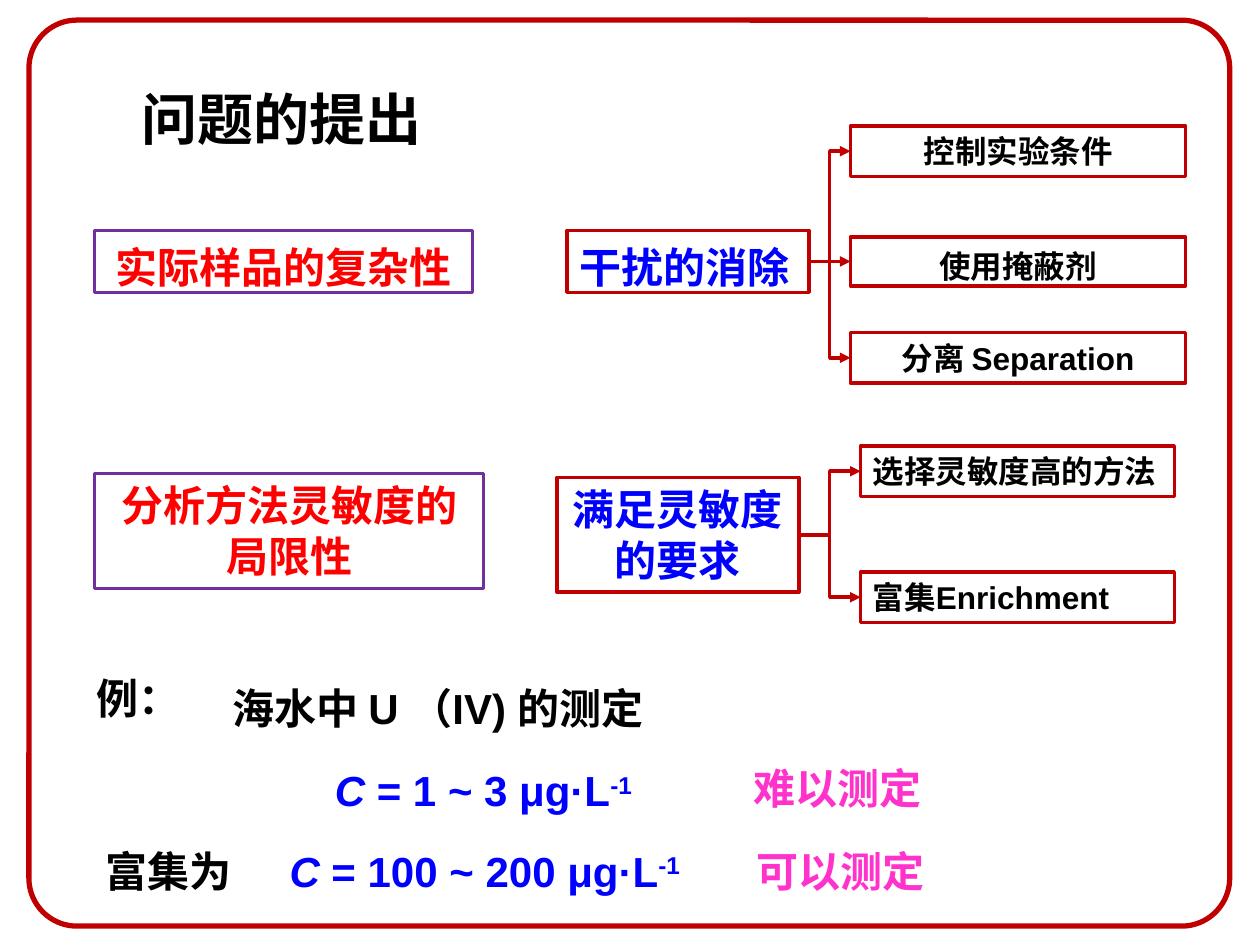
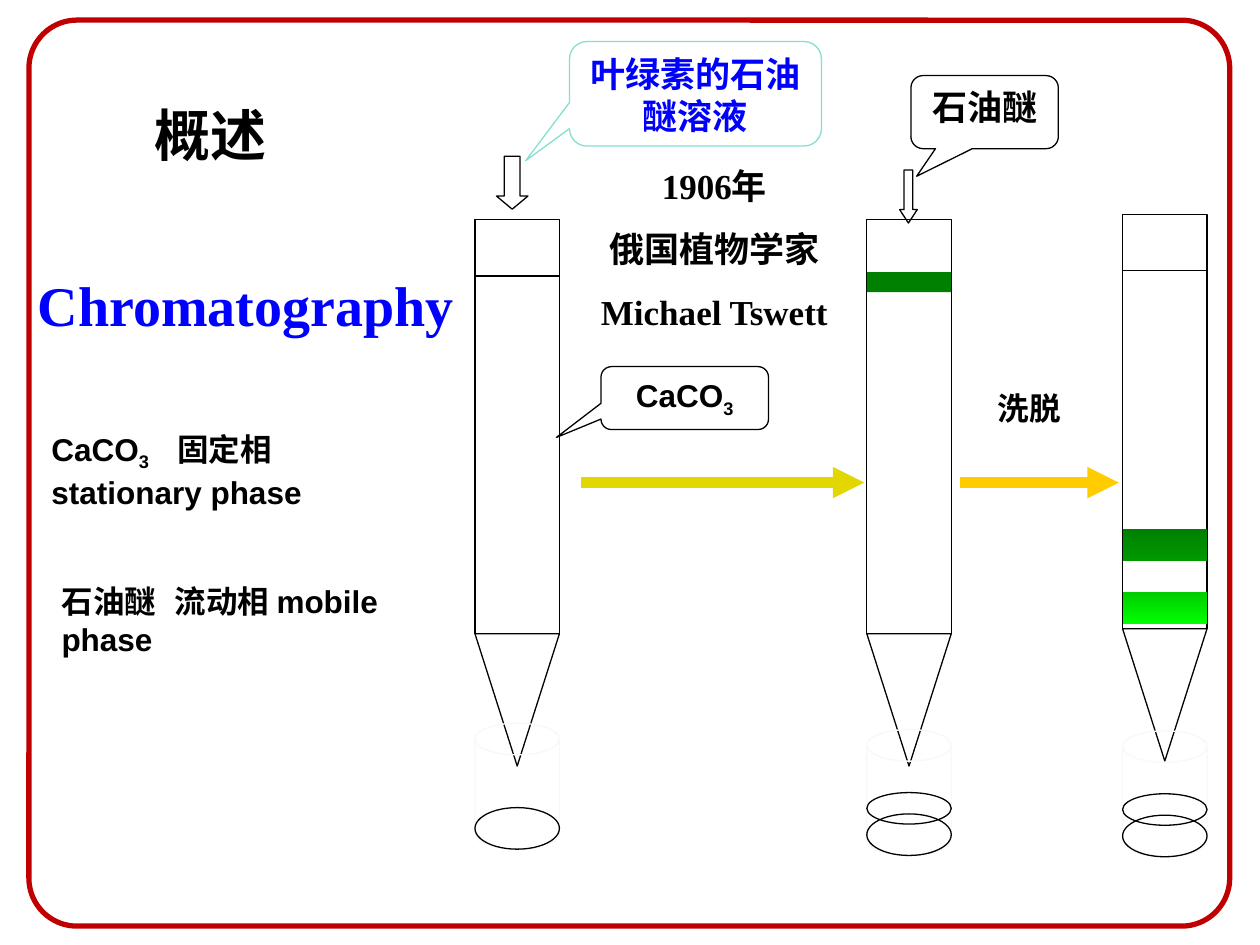
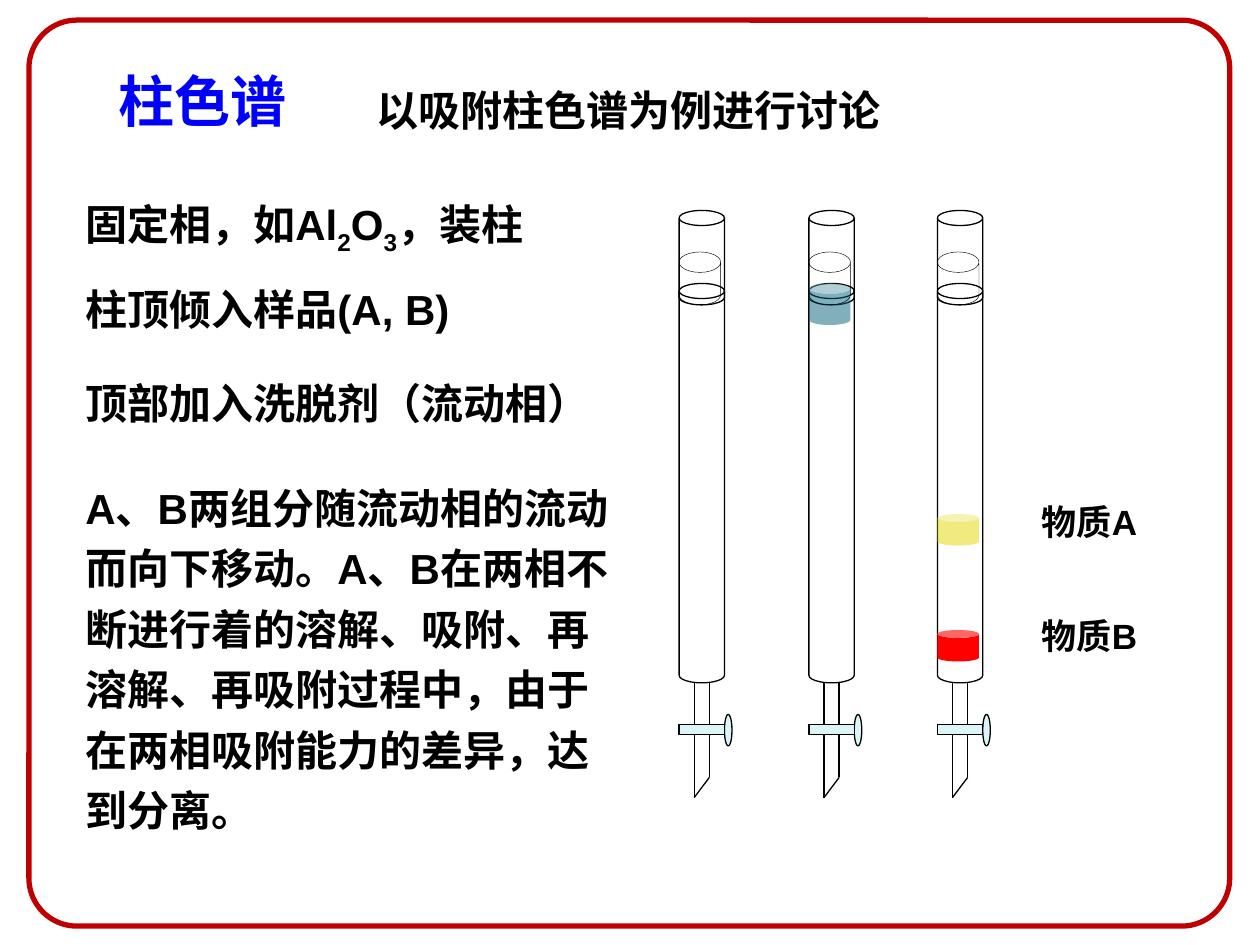
from dataclasses import dataclass

from lxml.etree import SubElement
from pptx import Presentation
from pptx.dml.color import RGBColor as RGB
from pptx.enum.shapes import MSO_CONNECTOR as LINK, MSO_SHAPE as SHAPE
from pptx.enum.text import MSO_ANCHOR as ANCHOR, PP_ALIGN as ALIGN
from pptx.oxml.ns import qn
from pptx.util import Inches, Pt


@dataclass(frozen=True)
class Theme:
    black: str = "000000"
    white: str = "FFFFFF"
    frame: str = "C00000"
    cause: str = "7030A0"
    red: str = "FF0000"
    blue: str = "0000FF"
    pink: str = "FF33CC"
    mint: str = "85DFD0"
    glass: str = "F8F8F8"
    valve: str = "DBF5F9"
    sample: str = "04617B"
    yellow: str = "E2D700"
    amber: str = "FFCC00"
    green: str = "008000"
    dark_band: tuple = ("008000", "009900")
    light_band: tuple = ("00CC00", "00FF00")
    sans: str = "Arial"
    serif: str = "Times New Roman"
    cjk: str = "Noto Sans CJK SC"
    heading: str = "Roboto"
    title: int = 32
    body: int = 24
    label: int = 20
    small: int = 18


T = Theme()
SUB = {"baseline": -25000}
SUPER = {"baseline": 30000}


def draw(slide, kind, place, line=None, width=0.75, fill=None, alpha=None, adj=(), arrow=False):
    shapes = slide.shapes
    if kind == "text":
        return shapes.add_textbox(*map(Inches, place))
    if kind == "outline":
        points = [(Inches(x), Inches(y)) for x, y in place]
        builder = shapes.build_freeform(*points[0])
        builder.add_line_segments(points[1:], close=fill is not None)
        item = builder.convert_to_shape()
    elif isinstance(kind, LINK):
        item = shapes.add_connector(kind, *map(Inches, place))
    else:
        item = shapes.add_shape(kind, *map(Inches, place))
        for index, value in enumerate(adj):
            item.adjustments[index] = value

    if line:
        item.line.color.rgb = RGB.from_string(line)
        item.line.width = Pt(width)
    else:
        item.line.fill.background()
    if isinstance(kind, LINK):
        if arrow:
            SubElement(item.line._get_or_add_ln(), qn("a:tailEnd"), type="triangle")
        SubElement(item._element.spPr, qn("a:effectLst"))
        return item

    item.shadow.inherit = False
    if fill is None:
        item.fill.background()
    elif isinstance(fill, tuple):
        item.fill.gradient()
        item.fill.gradient_angle = 270
        for stop, color in zip(item.fill.gradient_stops, fill):
            stop.color.rgb = RGB.from_string(color)
    else:
        item.fill.solid()
        item.fill.fore_color.rgb = RGB.from_string(fill)
        if alpha:
            color = item._element.spPr.find(qn("a:solidFill"))[0]
            SubElement(color, qn("a:alpha"), val=str(alpha * 1000))
    return item


def write(item, *paragraphs, size=T.body, color=T.black, font=T.sans,
          align=ALIGN.LEFT, spacing=None, tab=None, anchor=ANCHOR.TOP):
    frame = item.text_frame
    frame.word_wrap = True
    frame.vertical_anchor = anchor
    for index, runs in enumerate(paragraphs):
        paragraph = frame.add_paragraph() if index else frame.paragraphs[0]
        paragraph.alignment = align
        properties = paragraph._p.get_or_add_pPr()
        properties.set("hangingPunct", "0")
        if spacing:
            paragraph.line_spacing = spacing
        if tab:
            stops = SubElement(properties, qn("a:tabLst"))
            SubElement(stops, qn("a:tab"), pos=str(Inches(tab)), algn="l")
        paragraph.font.size = Pt(size)
        paragraph.font.bold = True
        paragraph.font.name = font
        paragraph.font.color.rgb = RGB.from_string(color)
        for text, look in [(runs, {})] if isinstance(runs, str) else runs:
            run = paragraph.add_run()
            run.text = text
            if "font" in look:
                run.font.name = look["font"]
            if "italic" in look:
                run.font.italic = True
            if "baseline" in look:
                run._r.get_or_add_rPr().set("baseline", str(look["baseline"]))


prs = Presentation()
prs.slide_width, prs.slide_height = Inches(10), Inches(7.5)
problem, overview, column_method = [prs.slides.add_slide(prs.slide_layouts[6]) for _ in range(3)]
for slide in (problem, overview, column_method):
    draw(slide, SHAPE.ROUNDED_RECTANGLE, (0.23, 0.16, 9.53, 7.19), T.frame, 3, adj=[0.053])

for slide, place, text, color, font, align, anchor in [
    (problem, (0.82, 0.62, 2.83, 0.64), "问题的提出", T.black, T.sans, ALIGN.CENTER, ANCHOR.TOP),
    (overview, (1.01, 0.75, 1.33, 0.63), "概述", T.black, T.cjk, ALIGN.CENTER, ANCHOR.TOP),
    (column_method, (0.94, 0.47, 1.88, 0.59), "柱色谱", T.blue, T.heading, ALIGN.LEFT, ANCHOR.BOTTOM),
]:
    title = draw(slide, SHAPE.RECTANGLE, place, fill=T.white)
    write(title, text, size=T.title, color=color, font=font, align=align, anchor=anchor)
title.text_frame.margin_left = title.text_frame.margin_right = title.text_frame.margin_bottom = 0

for place, text, spacing in [
    ((0.75, 1.83, 3, 0.49), "实际样品的复杂性", 1.1),
    ((0.75, 3.76, 3.09, 0.91), "分析方法灵敏度的局限性", None),
]:
    cause = draw(problem, SHAPE.RECTANGLE, place, T.cause, 1.75)
    write(cause, text, color=T.red, align=ALIGN.CENTER, spacing=spacing)

for place, text, align, spacing, remedies, remedy_align in [
    ((4.5, 1.83, 1.92, 0.49), "干扰的消除", ALIGN.LEFT, 1.1, [
        ((6.75, 1, 2.66, 0.4), "控制实验条件", None),
        ((6.75, 1.88, 2.66, 0.39), "使用掩蔽剂", 1.1),
        ((6.75, 2.64, 2.66, 0.4), "分离 Separation", None),
    ], ALIGN.CENTER),
    ((4.42, 3.79, 1.92, 0.91), "满足灵敏度的要求", ALIGN.CENTER, None, [
        ((6.83, 3.54, 2.49, 0.4), "选择灵敏度高的方法", None),
        ((6.83, 4.54, 2.49, 0.4), "富集Enrichment", None),
    ], ALIGN.LEFT),
]:
    goal = draw(problem, SHAPE.RECTANGLE, place, T.frame, 2)
    write(goal, text, color=T.blue, align=align, spacing=spacing)
    goal_right, goal_middle = place[0] + place[2], place[1] + place[3] / 2
    for (left, top, width, height), remedy_text, remedy_spacing in remedies:
        remedy = draw(problem, SHAPE.RECTANGLE, (left, top, width, height), T.frame, 2)
        write(remedy, remedy_text, size=T.small, align=remedy_align, spacing=remedy_spacing)
        middle = top + height / 2
        link = LINK.STRAIGHT if abs(middle - goal_middle) < 0.01 else LINK.ELBOW
        branch = draw(problem, link, (goal_right, goal_middle, left, middle), T.frame, 2, arrow=True)
        branch.begin_connect(goal, 3)
        branch.end_connect(remedy, 1)

for place, runs, color in [
    ((0.67, 5.29, 0.92, 0.5), "例：", T.black),
    ((1.75, 5.37, 4.58, 0.5), "海水中 U （IV) 的测定", T.black),
    ((2.56, 6.02, 3.16, 0.5), [("C", {"italic": True}), (" = 1 ~ 3 μg·L", {}), ("-1", SUPER)], T.blue),
    ((5.88, 6, 2.17, 0.5), "难以测定", T.pink),
    ((0.74, 6.66, 1.4, 0.5), "富集为", T.black),
    ((2.2, 6.66, 3.7, 0.5), [("C", {"italic": True}), (" = 100 ~ 200 μg·L", {}), ("-1", SUPER)], T.blue),
    ((5.91, 6.66, 2.17, 0.5), "可以测定", T.pink),
]:
    write(draw(problem, "text", place), runs, color=color)

tube = 0.67
for left, top, beaker_top, bands, extra_drop in [
    (3.77, 1.74, 5.74, [], False),
    (6.88, 1.74, 5.79, [(2.16, 0.16, T.green)], True),
    (8.91, 1.7, 5.8, [(4.2, 0.25, T.dark_band), (4.7, 0.25, T.light_band)], True),
]:
    bottom = top + 3.29
    draw(overview, SHAPE.RECTANGLE, (left, top, tube, 3.29), T.black)
    draw(overview, SHAPE.RECTANGLE, (left, top + 0.45, tube, 2.84), T.black, fill=T.white, alpha=50)
    tip = [(left, bottom), (left + tube / 2, bottom + 1.05), (left + tube, bottom)]
    draw(overview, "outline", tip, T.black, fill=T.white, alpha=50)
    for band_top, height, fill in bands:
        draw(overview, SHAPE.RECTANGLE, (left, band_top, tube, height), fill=fill)
    draw(overview, SHAPE.CAN, (left, beaker_top, tube, 1), T.glass, adj=[0.375])
    draw(overview, SHAPE.OVAL, (left, beaker_top + 0.67, tube, 0.33), T.black)
    if extra_drop:
        draw(overview, SHAPE.OVAL, (left, beaker_top + 0.5, tube, 0.25), T.black)

for place, head in [((3.94, 1.24, 0.25, 0.42), 0.417), ((7.14, 1.35, 0.14, 0.42), 0.759)]:
    draw(overview, SHAPE.DOWN_ARROW, place, T.black, adj=[0.5, head])

for place, pointer, line, runs, size, color, font in [
    ((4.52, 0.33, 2, 0.83), (-0.674, 0.64), T.mint, "叶绿素的石油醚溶液", T.label, T.blue, T.cjk),
    ((7.23, 0.6, 1.17, 0.58), (-0.461, 0.878), T.black, "石油醚", T.label, T.black, T.sans),
    ((4.77, 2.91, 1.33, 0.5), (-0.766, 0.625), T.black, [("CaCO", {}), ("3", SUB)], T.small, T.black, T.sans),
]:
    callout = draw(overview, SHAPE.ROUNDED_RECTANGULAR_CALLOUT, place, line, adj=[*pointer, 0.167])
    write(callout, runs, size=size, color=color, font=font, align=ALIGN.CENTER)

for start, end, color in [(4.61, 6.86, T.yellow), (7.62, 8.88, T.amber)]:
    draw(overview, LINK.STRAIGHT, (start, 3.83, end, 3.83), color, 6, arrow=True)

write(draw(overview, "text", (4.53, 1.09, 2.28, 1.56)), "1906年", "俄国植物学家", "Michael Tswett",
      size=T.label, font=T.serif, align=ALIGN.CENTER, spacing=1.5)
write(draw(overview, "text", (0.2, 2.1, 3.61, 0.63)), "Chromatography",
      size=T.title, color=T.blue, font=T.serif)
write(draw(overview, "text", (0.31, 3.36, 3.17, 0.71)),
      [("CaCO", {}), ("3", SUB), ("\t固定相 ", {"font": T.cjk}), ("stationary phase", {})],
      size=T.small, tab=1)
write(draw(overview, "text", (0.39, 4.57, 3.17, 0.71)),
      [("石油醚\t流动相 ", {"font": T.cjk}), ("mobile phase", {})], size=T.small, tab=0.9)
write(draw(overview, "text", (7.7, 3.04, 0.94, 0.5)), "洗脱", size=T.small, align=ALIGN.CENTER)

for left, zones in [
    (5.39, []),
    (6.42, [(2.25, 0.33, T.sample, 50)]),
    (7.44, [(4.08, 0.25, T.yellow, 50), (5, 0.25, T.red, None)]),
]:
    inner, outer = left + 0.12, left + 0.24
    draw(column_method, SHAPE.CAN, (left, 2.25, 0.36, 3.17), T.black, fill=T.white, alpha=50, adj=[0.333])
    draw(column_method, SHAPE.CAN, (left, 1.67, 0.36, 0.75), T.black, adj=[0.333])
    for x, end in [(inner, 6.33), (outer, 6.17)]:
        draw(column_method, LINK.STRAIGHT, (x, 5.42, x, end), T.black)
    draw(column_method, "outline", [(outer, 6.17), (left + 0.18, 6.25), (inner, 6.33)], T.black)
    draw(column_method, SHAPE.OVAL, (left + 0.36, 5.67, 0.06, 0.25), T.black, fill=T.valve)
    draw(column_method, SHAPE.RECTANGLE, (left, 5.75, 0.36, 0.08), T.black, fill=T.valve)
    for top, height, fill, alpha in zones:
        draw(column_method, SHAPE.CAN, (left, top, 0.33, height), fill=fill, alpha=alpha, adj=[0.25])
    draw(column_method, SHAPE.CAN, (left, 2, 0.33, 0.42), T.black, 0.25, adj=[0.491])

for place, runs, size, spacing in [
    ((2.89, 0.62, 4.83, 0.5), "以吸附柱色谱为例进行讨论", T.body, None),
    ((0.58, 1.53, 4.1, 0.5),
     [("固定相，如Al", {}), ("2", SUB), ("O", {}), ("3", SUB), ("，装柱", {})], T.body, None),
    ((0.58, 2.2, 3.25, 0.5), "柱顶倾入样品(A, B)", T.body, None),
    ((0.58, 2.95, 4.34, 0.5), "顶部加入洗脱剂（流动相）", T.body, None),
    ((8.17, 3.92, 1.25, 0.44), "物质A", T.label, None),
    ((8.17, 4.83, 1.25, 0.44), "物质B", T.label, None),
    ((0.58, 3.7, 4.36, 2.94),
     [("A、B", {}), ("两组分随流动相的流动而向下移动。", {"font": T.cjk}), ("A、B", {}),
      ("在两相不断进行着的溶解、吸附、再溶解、再吸附过程中，由于在两相吸附能力的差异，达到分离。",
       {"font": T.cjk})], T.body, 1.2),
]:
    write(draw(column_method, "text", place), runs, size=size, spacing=spacing)

prs.save("out.pptx")
